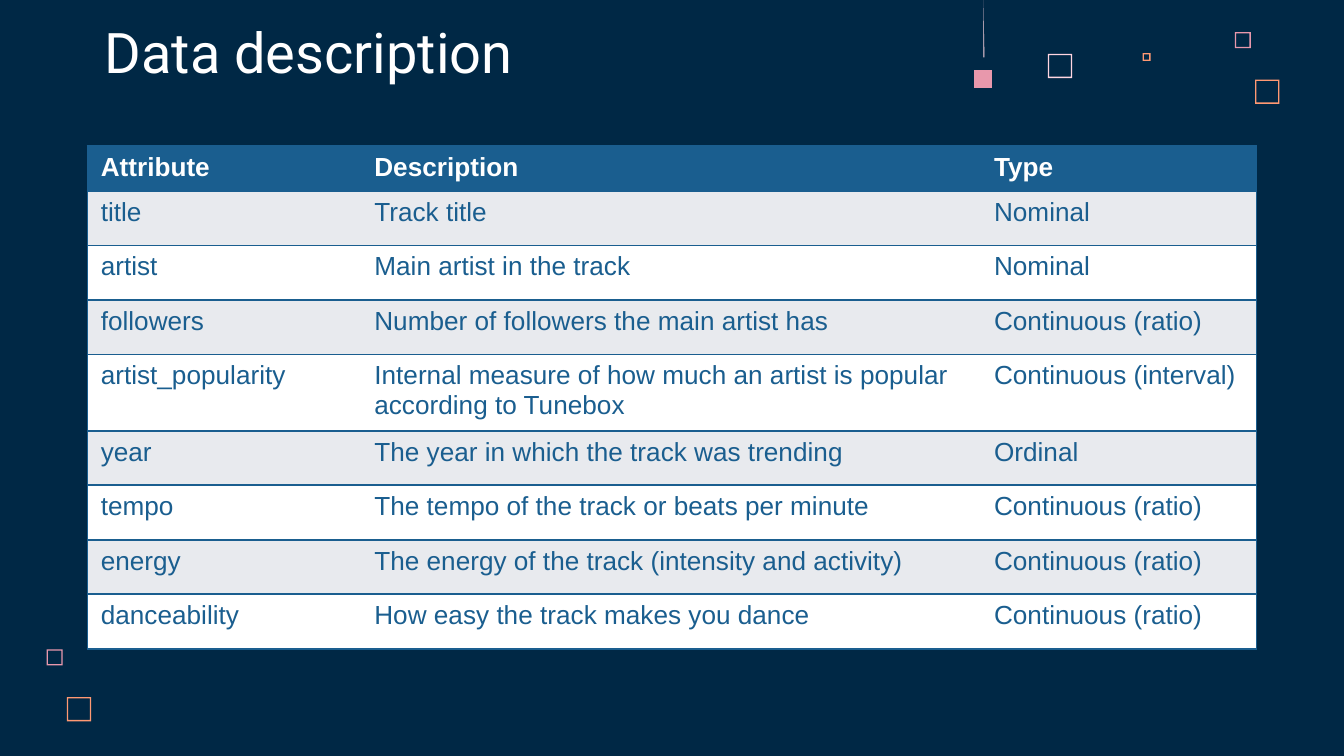
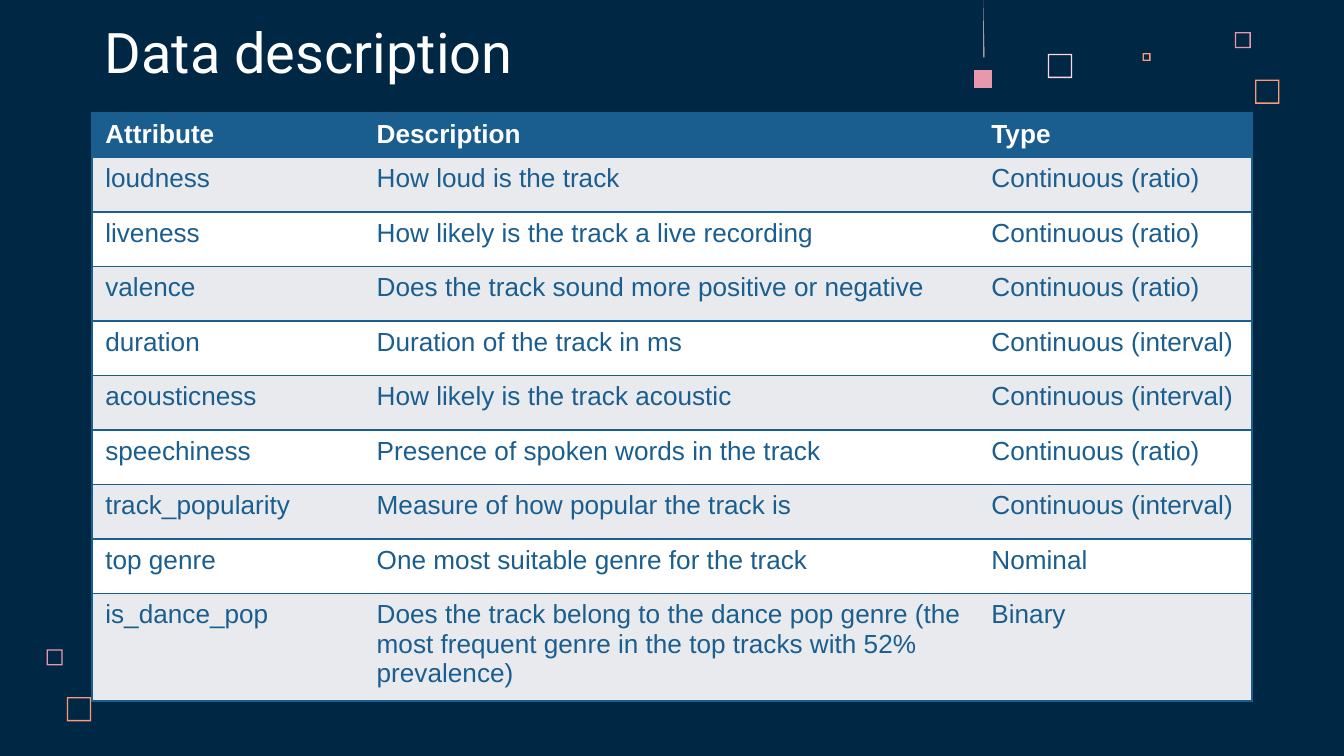
from lxml import etree
from pptx import Presentation
from pptx.dml.color import RGBColor
from pptx.enum.text import MSO_ANCHOR
from pptx.oxml.ns import qn
from pptx.util import Pt

BOTTOM = MSO_ANCHOR.BOTTOM

# Shared colours and text formats
NAVY, BLUE, GREY, WHITE = "002845", "1A5E8F", "E8EAEE", "FFFFFF"
BLUSH, PINK, PEACH = "FFD6E1", "E898AC", "FF9973"
TITLE = {"name": "Roboto", "size": Pt(30), "bold": False}
HEAD = {"name": "Arial", "size": Pt(14), "bold": True}
BODY = {**HEAD, "bold": False}

# Hollow squares: left, top, side, colour
RINGS = [
    (561.4, 28.8, 13, BLUSH), (661.5, 17.2, 8.6, PINK),
    (612.2, 28.5, 4.2, PEACH), (672.4, 42.6, 13, PEACH),
    (25, 347.9, 8.6, PINK), (35.8, 373.4, 13, PEACH),
]

# Table text
NAMES = ("Attribute", "Description", "Type")
RATIO, SPAN = "Continuous (ratio)", "Continuous (interval)"
FIRST = [
    ("title", "Track title", "Nominal"),
    ("artist", "Main artist in the track", "Nominal"),
    ("followers", "Number of followers the main artist has", RATIO),
    ("artist_popularity",
     "Internal measure of how much an artist is popular according to Tunebox",
     SPAN),
    ("year", "The year in which the track was trending", "Ordinal"),
    ("tempo", "The tempo of the track or beats per minute", RATIO),
    ("energy", "The energy of the track (intensity and activity)", RATIO),
    ("danceability", "How easy the track makes you dance", RATIO),
]
SECOND = [
    ("loudness", "How loud is the track", RATIO),
    ("liveness", "How likely is the track a live recording", RATIO),
    ("valence", "Does the track sound more positive or negative", RATIO),
    ("duration", "Duration of the track in ms", SPAN),
    ("acousticness", "How likely is the track acoustic", SPAN),
    ("speechiness", "Presence of spoken words in the track", RATIO),
    ("track_popularity", "Measure of how popular the track is", SPAN),
    ("top genre", "One most suitable genre for the track", "Nominal"),
    ("is_dance_pop",
     "Does the track belong to the dance pop genre (the most frequent genre "
     "in the top tracks with 52% prevalence)", "Binary"),
]
SHARES = (0.234, 0.53, 0.236)
HEAD_H, ROW_H = 23.5, 29.2


def paint(fill, color):
    fill.solid()
    fill.fore_color.rgb = RGBColor.from_string(color)


def write(frame, text, style, color):
    para = frame.paragraphs[0]
    run = para.add_run()
    run.text = text
    for key, value in style.items():
        setattr(run.font, key, value)
    paint(run.font.fill, color)


def outline(slide, loops, color):
    """Fill one shape bounded by closed loops of points."""
    loops = [[(Pt(x), Pt(y)) for x, y in loop] for loop in loops]
    pen = slide.shapes.build_freeform(*loops[0][0])
    for i, loop in enumerate(loops):
        if i:
            pen.move_to(*loop[0])
        pen.add_line_segments(loop[1:], close=True)
    shape = pen.convert_to_shape()
    shape.shadow.inherit = False
    shape.line.fill.background()
    paint(shape.fill, color)


def square(x, y, side):
    return [(x, y), (x, y + side), (x + side, y + side), (x + side, y)]


def add_decor(slide):
    # Hollow squares
    for x, y, side, color in RINGS:
        inner = square(x + 0.7, y + 0.7, side - 1.4)
        outline(slide, [inner[::-1], square(x, y, side)], color)
    # Solid square hanging from a needle
    outline(slide, [square(521.9, 37.5, 9.6)], PINK)
    outline(slide, [[(526.8, 0), (526.8, 30.7), (527.4, 30.7)]], BLUSH)


def add_title(slide, text, x, y, w, h):
    frame = slide.shapes.add_textbox(Pt(x), Pt(y), Pt(w), Pt(h)).text_frame
    frame.word_wrap = True
    frame.vertical_anchor = BOTTOM
    for side in ("left", "top", "right", "bottom"):
        setattr(frame, "margin_" + side, Pt(7.2))
    write(frame, text, TITLE, WHITE)


def edge(cell, col):
    """Rule every row; close the table at its two sides."""
    shown = {"L": col == 0, "R": col == len(NAMES) - 1, "T": True, "B": True}
    props = cell._tc.get_or_add_tcPr()
    for side, on in shown.items():
        line = etree.SubElement(props, qn("a:ln" + side), w=str(Pt(1)))
        if on:
            fill = etree.SubElement(line, qn("a:solidFill"))
            etree.SubElement(fill, qn("a:srgbClr"), val=BLUE)
        else:
            etree.SubElement(line, qn("a:noFill"))


def add_grid(slide, rows, x, y, w):
    rows = [NAMES] + rows
    high = HEAD_H + ROW_H * (len(rows) - 1)
    grid = slide.shapes.add_table(
        len(rows), len(NAMES), Pt(x), Pt(y), Pt(w), Pt(high)).table
    grid.horz_banding = False
    for col, share in zip(grid.columns, SHARES):
        col.width = Pt(w * share)
    for r, row in enumerate(rows):
        grid.rows[r].height = Pt(ROW_H if r else HEAD_H)
        style, ink = (BODY, BLUE) if r else (HEAD, WHITE)
        back = (GREY if r % 2 else WHITE) if r else BLUE
        for c, text in enumerate(row):
            cell = grid.cell(r, c)
            edge(cell, c)
            paint(cell.fill, back)
            write(cell.text_frame, text, style, ink)


def add_page(deck, rows, x, y, w):
    slide = deck.slides.add_slide(deck.slide_layouts[6])
    paint(slide.background.fill, NAVY)
    add_decor(slide)
    add_title(slide, "Data description", 49, 7.2, 372, 45.4)
    add_grid(slide, rows, x, y, w)


def main():
    deck = Presentation()
    deck.slide_width, deck.slide_height = Pt(720), Pt(405)
    add_page(deck, FIRST, 46.8, 78.3, 626.4)
    add_page(deck, SECOND, 49.2, 60.3, 621.4)
    deck.save("out.pptx")


if __name__ == "__main__":
    main()
